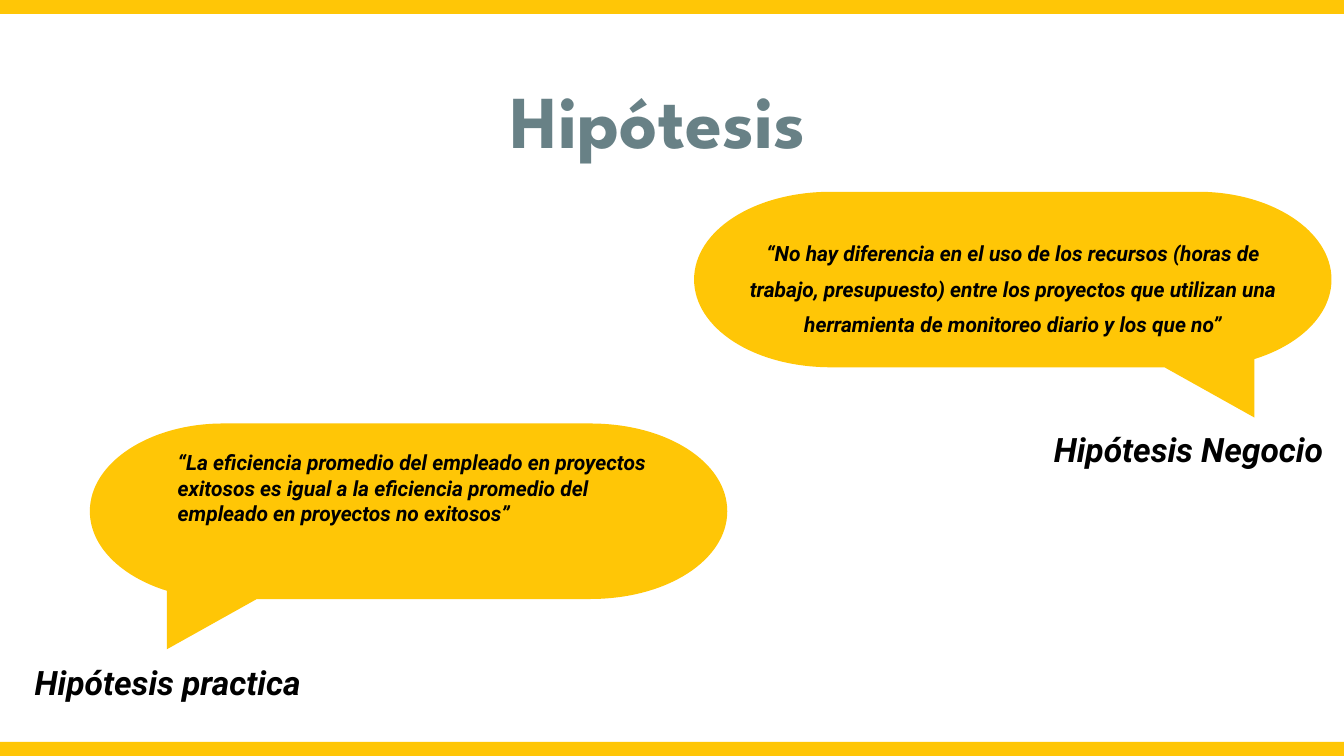
from lxml.etree import SubElement
from pptx import Presentation
from pptx.dml.color import RGBColor
from pptx.enum.shapes import MSO_SHAPE as SHAPE
from pptx.enum.text import MSO_ANCHOR as ANCHOR, MSO_AUTO_SIZE as AUTO, PP_ALIGN as ALIGN
from pptx.oxml.ns import qn
from pptx.util import Pt

YELLOW = RGBColor(0xFF, 0xC6, 0x06)
SLATE = RGBColor(0x68, 0x81, 0x86)
BLACK = RGBColor(0, 0, 0)

SLIDE_W, SLIDE_H = 960, 540
BAR_H = 10
BUBBLE_W = 455.3

# Bubble outline with its tail at the lower right: a pair is a straight
# segment's end, three pairs are a Bézier curve's controls and end
BUBBLE_START = (98, 0)
BUBBLE_PATH = [
    [(360, 0)],
    [(412.5, 0), (BUBBLE_W, 28), (BUBBLE_W, 62.7)],
    [(BUBBLE_W, 88), (432.5, 109.5), (400.3, 119.5)],
    [(400.3, 161.3)],
    [(336, 125.4)],
    [(98, 125.4)],
    [(42.5, 125.4), (0, 97.3), (0, 62.7)],
    [(0, 28), (42.5, 0), BUBBLE_START],
]


def write(sp, text, size, font="Roboto", color=BLACK, italic=True,
          align=ALIGN.CENTER, spacing=1.0):
    """Fill a shape with one bold paragraph."""
    tf = sp.text_frame
    tf.word_wrap = True
    tf.auto_size = AUTO.SHAPE_TO_FIT_TEXT
    tf.vertical_anchor = ANCHOR.TOP
    tf.margin_left = tf.margin_right = tf.margin_top = tf.margin_bottom = 0
    p = tf.paragraphs[0]
    p.alignment = align
    p.line_spacing = spacing
    r = p.add_run()
    r.text = text
    r.font.name = font
    r.font.size = Pt(size)
    r.font.bold = True
    r.font.italic = italic
    r.font.color.rgb = color


def add_text(s, x, y, w, h, text, size, **fmt):
    write(s.shapes.add_textbox(Pt(x), Pt(y), Pt(w), Pt(h)), text, size, **fmt)


def paint(sp):
    sp.shadow.inherit = False
    sp.fill.solid()
    sp.fill.fore_color.rgb = YELLOW
    sp.line.fill.background()


def add_bar(s, y):
    paint(s.shapes.add_shape(SHAPE.RECTANGLE, 0, Pt(y), Pt(SLIDE_W), Pt(BAR_H)))


def add_title(s, x, y, w, h, text):
    title = s.shapes.title
    title.left, title.top, title.width, title.height = Pt(x), Pt(y), Pt(w), Pt(h)
    write(title, text, 53.3, font="League Spartan", color=SLATE, italic=False,
          spacing=1.21)


def add_bubble(s, x, y, mirrored):
    def place(point):
        px, py = point
        return Pt(x + (BUBBLE_W - px if mirrored else px)), Pt(y + py)

    builder = s.shapes.build_freeform(*place(BUBBLE_START))
    builder.add_line_segments([place(pt) for seg in BUBBLE_PATH for pt in seg], close=True)
    sp = builder.convert_to_shape()
    paint(sp)

    # Join each run of three points into one Bézier curve
    lines = iter(list(sp._element.iter(qn("a:lnTo"))))
    for segment in BUBBLE_PATH:
        steps = [next(lines) for _ in segment]
        if len(steps) == 3:
            outline = steps[0].getparent()
            curve = SubElement(outline, qn("a:cubicBezTo"))
            outline.insert(outline.index(steps[0]), curve)
            for step in steps:
                curve.append(step[0])
                outline.remove(step)


def add_hypothesis(s, x, y, quote, quote_box, label, label_box, mirrored=False, **fmt):
    """Speech bubble at x, y; quote and label boxes are relative to it."""
    add_bubble(s, x, y, mirrored)
    for text, (dx, dy, w, h), size, style in (
            (quote, quote_box, 15, fmt),
            (label, label_box, 24, {"spacing": 1.2})):
        add_text(s, x + dx, y + dy, w, h, text, size, **style)


def main():
    prs = Presentation()
    prs.slide_width, prs.slide_height = Pt(SLIDE_W), Pt(SLIDE_H)
    s = prs.slides.add_slide(prs.slide_layouts[5])

    # Frame and title
    add_bar(s, 0)
    add_bar(s, SLIDE_H - BAR_H)
    add_title(s, 83.5, 39.6, 773.3, 78.5, "Hipótesis")

    # Business hypothesis
    add_hypothesis(
        s, 495.8, 137,
        "“No hay diferencia en el uso de los recursos (horas de trabajo, presupuesto) "
        "entre los proyectos que utilizan una herramienta de monitoreo diario y los que no”",
        (30.2, 27.9, 395.3, 76.3),
        "Hipótesis Negocio", (214.9, 163.6, 276.5, 34.6),
        spacing=1.4)

    # Practical hypothesis
    add_hypothesis(
        s, 64.2, 302.5,
        "“La eficiencia promedio del empleado en proyectos exitosos es igual a la "
        "eficiencia promedio del empleado en proyectos no exitosos”",
        (62.8, 18.9, 355, 72.7),
        "Hipótesis practica", (-77.6, 164.8, 266.4, 34.6),
        mirrored=True, align=ALIGN.LEFT)

    prs.save("out.pptx")


if __name__ == "__main__":
    main()
